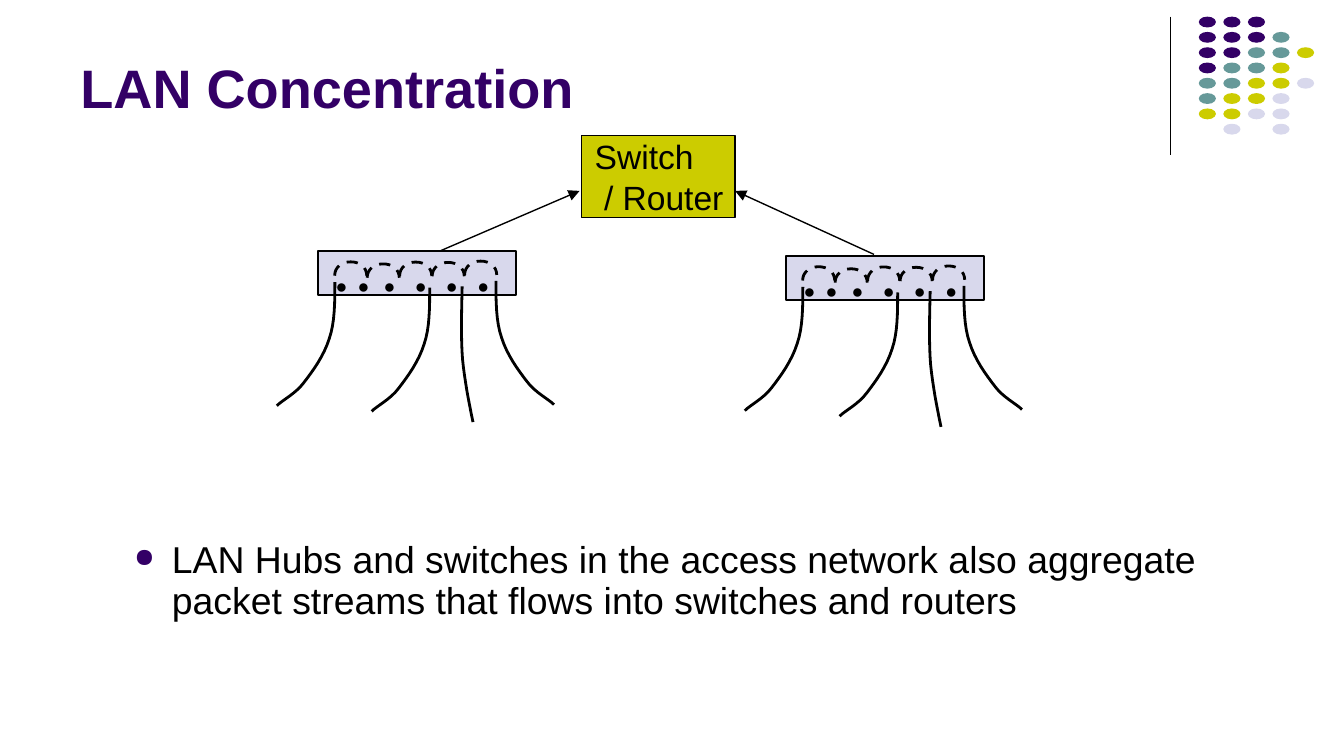
from lxml import etree
from pptx import Presentation
from pptx.dml.color import RGBColor
from pptx.enum.dml import MSO_LINE
from pptx.enum.shapes import MSO_CONNECTOR, MSO_SHAPE
from pptx.enum.text import MSO_ANCHOR, PP_ALIGN
from pptx.oxml.ns import qn
from pptx.util import Pt

STRAIGHT = MSO_CONNECTOR.STRAIGHT
RECTANGLE, OVAL = MSO_SHAPE.RECTANGLE, MSO_SHAPE.OVAL
DASH = MSO_LINE.DASH
MIDDLE, BOTTOM = MSO_ANCHOR.MIDDLE, MSO_ANCHOR.BOTTOM
LEFT = PP_ALIGN.LEFT

BLACK, PURPLE, TEAL, YELLOW, LILAC = "000000", "330066", "669999", "CCCC00", "D8D8EC"


def color(hex_code):
    return RGBColor.from_string(hex_code)


def draw_curve(shapes, left, top, controls, direction=1, dash=None):
    """Draw chained cubic curves whose control points are offsets from left, top."""
    points = [controls[0]]
    for first in range(0, len(controls) - 1, 3):
        a, b, c, d = controls[first:first + 4]
        for step in range(1, 9):
            t = step / 8
            weights = (1 - t) ** 3, 3 * t * (1 - t) ** 2, 3 * t * t * (1 - t), t ** 3
            points.append([sum(w * p[axis] for w, p in zip(weights, (a, b, c, d)))
                           for axis in (0, 1)])
    points = [(Pt(left + direction * x), Pt(top + y)) for x, y in points]
    builder = shapes.build_freeform(*points[0])
    builder.add_line_segments(points[1:], close=False)
    curve = builder.convert_to_shape()
    curve.shadow.inherit = False
    curve.fill.background()
    curve.line.color.rgb = color(BLACK)
    curve.line.width = Pt(1.5)
    curve.line.dash_style = dash


deck = Presentation()
deck.slide_width, deck.slide_height = Pt(720), Pt(405)
page = deck.slides.add_slide(deck.slide_layouts[6])

# Corner decoration: a grid of coloured dots
DOT_ROWS = ["PPP", "PPPT", "PPTTY", "PTTY", "TTYYL", "TYYL", "YYLL", " L L"]
DOT_COLORS = {"P": PURPLE, "T": TEAL, "Y": YELLOW, "L": LILAC}
dots = page.shapes.add_group_shape()
for row, letters in enumerate(DOT_ROWS):
    for column, letter in enumerate(letters):
        if letter == " ":
            continue
        dot = dots.shapes.add_shape(OVAL, Pt(642.2 + 13.15 * column), Pt(8.9 + 8.2 * row),
                                    Pt(9.2), Pt(5.8))
        dot.shadow.inherit = False
        dot.fill.solid()
        dot.fill.fore_color.rgb = color(DOT_COLORS[letter])
        dot.line.fill.background()

# Title
title = page.shapes.add_textbox(Pt(36), Pt(7.2), Pt(594), Pt(60.5))
title.text_frame.text = "LAN Concentration"
title.text_frame.word_wrap = True
title.text_frame.vertical_anchor = BOTTOM
text_styles = [(title, "Arial", 29, PURPLE, True)]

# Bulleted statement
body = page.shapes.add_textbox(Pt(64.8), Pt(286.6), Pt(587.5), Pt(57.6))
body.text_frame.text = ("LAN Hubs and switches in the access network also aggregate "
                        "packet streams that flows into switches and routers")
body.text_frame.word_wrap = True
para = body.text_frame.paragraphs[0]
properties = para._p.get_or_add_pPr()
properties.set("marL", str(Pt(20.2)))
properties.set("indent", str(-Pt(20.2)))
bullet_color = etree.SubElement(properties, qn("a:buClr"))
etree.SubElement(bullet_color, qn("a:srgbClr"), val=PURPLE)
etree.SubElement(properties, qn("a:buSzPct"), val="70000")
etree.SubElement(properties, qn("a:buChar"), char="●")
para.line_spacing = 0.9
text_styles.append((body, "Arial", 20, BLACK, False))

# Two hubs with ports, dashed internal links and cables
ARC = [(0, 7.4), (0, 2.9), (3.8, 0), (8.6, 0), (13.4, 0), (17.2, 2.9), (17.2, 7.4)]
ARC_TOPS = [5.8, 6.9, 5.9, 6.1, 5.4]
BENT_CABLE = [(0, 0), (0, 10.8), (0, 21.6), (-3, 30.3), (-5.9, 39.6), (-11.7, 47.5),
              (-16.7, 54), (-21, 59.8), (-28.2, 63.3), (-31.1, 66.3)]
STEEP_CABLE = [(0, 0), (-0.3, 13.7), (-0.7, 27.3), (0.2, 38.9),
               (1.4, 51), (3.6, 62), (5.8, 72.7)]
CABLES = [(9, 16.6, BENT_CABLE, 1), (95.3, 16, BENT_CABLE, -1),
          (77.2, 18.9, STEEP_CABLE, 1), (59.8, 19.6, BENT_CABLE, 1)]
PORT_TABS = [11.7, 25.7, 42.4, 59, 75.9]

for left, top in [(170.4, 134.5), (421.1, 137.1)]:
    hub = page.shapes.add_group_shape().shapes
    case = hub.add_shape(RECTANGLE, Pt(left), Pt(top), Pt(106), Pt(23.6))
    case.shadow.inherit = False
    case.fill.solid()
    case.fill.fore_color.rgb = color(LILAC)
    case.line.color.rgb = color(BLACK)
    case.line.width = Pt(1)

    ports = hub.add_textbox(Pt(left + 2.4), Pt(top + 8.8), Pt(103.7), Pt(32.4))
    ports.text_frame.word_wrap = True
    ports.text_frame.text = "\t".join("●" * 6)
    tab_list = etree.SubElement(ports.text_frame.paragraphs[0]._p.get_or_add_pPr(),
                                qn("a:tabLst"))
    for position in PORT_TABS:
        etree.SubElement(tab_list, qn("a:tab"), pos=str(Pt(position)), algn="l")
    text_styles.append((ports, "Times New Roman", 10.5, BLACK, False))

    for index, arc_top in enumerate(ARC_TOPS):
        draw_curve(hub, left + 8.9 + 17.4 * index, top + arc_top, ARC, dash=DASH)
    for x, y, controls, direction in CABLES:
        draw_curve(hub, left + x, top + y, controls, direction)

# Switch / router
switch = page.shapes.add_shape(RECTANGLE, Pt(311.5), Pt(72.6), Pt(82.3), Pt(43.9))
switch.shadow.inherit = False
switch.fill.solid()
switch.fill.fore_color.rgb = color(YELLOW)
switch.line.color.rgb = color(BLACK)
switch.line.width = Pt(0.75)
switch.text_frame.text = "Switch\n / Router"
switch.text_frame.word_wrap = False
switch.text_frame.vertical_anchor = MIDDLE
text_styles.append((switch, "Arial", 18, BLACK, False))

# Corner rule and uplink arrows
LINES = [(627, 8.9, 627, 82.9, False),
         (235.7, 134.5, 310.5, 102.3, True),
         (468.2, 136.3, 393.8, 102.3, True)]
for x1, y1, x2, y2, has_arrow in LINES:
    line = page.shapes.add_connector(STRAIGHT, Pt(x1), Pt(y1), Pt(x2), Pt(y2))
    line.line.color.rgb = color(BLACK)
    line.line.width = Pt(0.75)
    if has_arrow:
        etree.SubElement(line.line._get_or_add_ln(), qn("a:tailEnd"), type="triangle")
    etree.SubElement(line._element.spPr, qn("a:effectLst"))

# Text formatting
for box, font_name, size, font_color, bold in text_styles:
    for para in box.text_frame.paragraphs:
        para.alignment = LEFT
        for span in para.runs:
            span.font.name = font_name
            span.font.size = Pt(size)
            span.font.bold = bold
            span.font.color.rgb = color(font_color)

deck.save("out.pptx")
